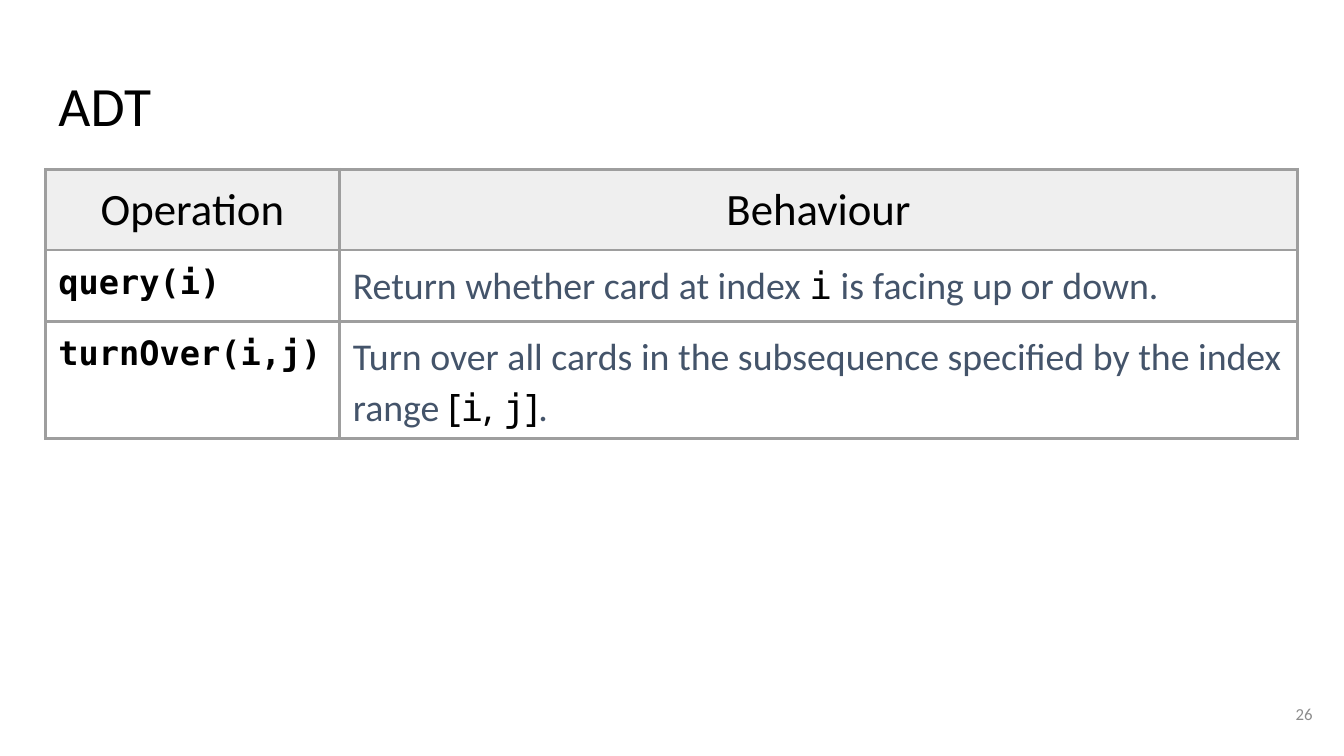
import pptx
import pptx.util
import pptx.dml.color
import pptx.enum.text
import lxml.etree

Inches = pptx.util.Inches
Align = pptx.enum.text.PP_ALIGN
Anchor = pptx.enum.text.MSO_ANCHOR


def color(text):
    return pptx.dml.color.RGBColor.from_string(text)


class Page:
    ink, slate, gray, line, head = "000000", "44546A", "8C8C8C", "9E9E9E", "EFEFEF"
    sans, mono, noto = "Calibri", "DejaVu Sans Mono", "Noto Sans"
    pad = 0.13

    def __init__(self, deck):
        self.slide = deck.slides.add_slide(deck.slide_layouts[6])

    def inset(self, part):
        for side in ("left", "top", "right", "bottom"):
            setattr(part, "margin_" + side, Inches(self.pad))

    def letter(self, frame, runs, form):
        para = frame.paragraphs[0]
        for name, value in form.items():
            setattr(para, name, value)
        for text, size, face, tint, bold in runs:
            run = para.add_run()
            run.text = text
            style = {"size": pptx.util.Pt(size), "name": face, "bold": bold}
            for name, value in style.items():
                setattr(run.font, name, value)
            run.font.color.rgb = color(tint)

    def text(self, box, runs, form, anchor=Anchor.TOP):
        frame = self.slide.shapes.add_textbox(*map(Inches, box)).text_frame
        frame.word_wrap = True
        frame.vertical_anchor = anchor
        self.inset(frame)
        self.letter(frame, runs, form)

    def border(self, cell):
        props = cell._tc.get_or_add_tcPr()
        space = "{http://schemas.openxmlformats.org/drawingml/2006/main}"
        for spot, side in enumerate(("lnL", "lnR", "lnT", "lnB")):
            edge = lxml.etree.Element(space + side, w=str(pptx.util.Pt(2.25)))
            fill = lxml.etree.SubElement(edge, space + "solidFill")
            lxml.etree.SubElement(fill, space + "srgbClr", val=self.line)
            props.insert(spot, edge)

    def table(self, box, wide, high, rows):
        grid = self.slide.shapes.add_table(len(high), len(wide), *map(Inches, box)).table
        grid.horz_banding = False
        for col, width in zip(grid.columns, wide):
            col.width = Inches(width)
        for row, height in zip(grid.rows, high):
            row.height = Inches(height)
        for r, row in enumerate(rows):
            for c, runs in enumerate(row):
                cell = grid.cell(r, c)
                self.inset(cell)
                cell.fill.background()
                if r == 0:
                    cell.fill.solid()
                    cell.fill.fore_color.rgb = color(self.head)
                self.border(cell)
                self.letter(cell.text_frame, runs, {"alignment": Align.LEFT if r else Align.CENTER})


def main():
    deck = pptx.Presentation()
    deck.slide_width, deck.slide_height = Inches(13.33), Inches(7.5)
    page = Page(deck)

    def title(text):
        return [(text, 32, page.sans, page.ink, False)]

    def call(text):
        return [(text, 24, page.mono, page.ink, True)]

    def prose(text):
        return (text, 27, page.sans, page.slate, False)

    def code(text, face=page.mono):
        return (text, 27, face, page.ink, False)

    page.text((0.45, 0.65, 12.42, 0.84), [("ADT", 39.6, page.sans, page.ink, False)],
              {"line_spacing": 0.9})
    page.text((12.35, 6.8, 0.8, 0.57), [("26", 12, page.sans, page.gray, False)],
              {"alignment": Align.RIGHT}, Anchor.MIDDLE)
    page.table((0.45, 1.68, 12.42, 2.68), (2.92, 9.5), (0.8, 0.71, 1.16), [
        [title("Operation"), title("Behaviour")],
        [call("query(i)"),
         [prose("Return whether card at index "), code("i"), prose(" is facing up or down.")]],
        [call("turnOver(i,j)"),
         [prose("Turn over all cards in the subsequence specified by the index range "),
          code("[", page.noto), code("i"), code(", ", page.noto), code("j"),
          code("]", page.noto), prose(".")]],
    ])
    deck.save("out.pptx")


if __name__ == "__main__":
    main()
